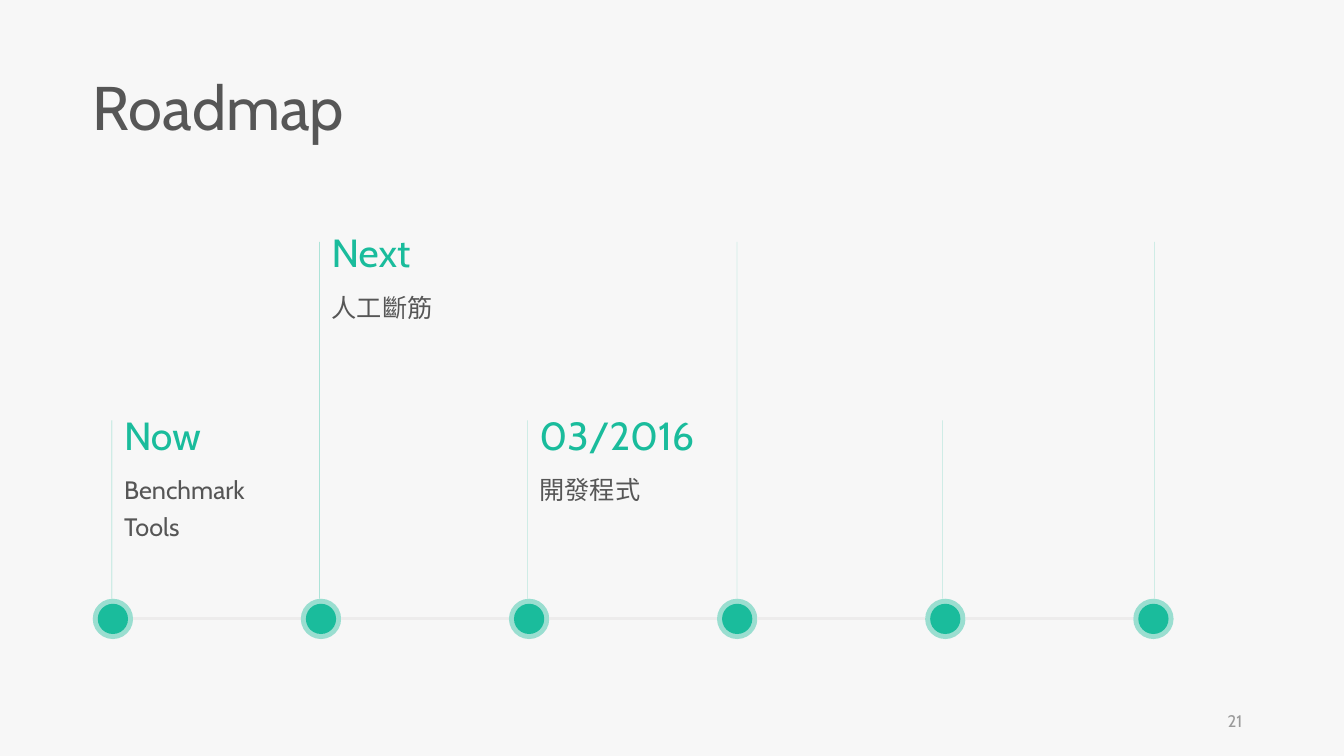
from lxml import etree
from pptx import Presentation
from pptx import util as u
from pptx.dml.color import RGBColor
from pptx.enum import shapes, text
from pptx.oxml.ns import qn

WIDTH, HEIGHT = 13.33, 7.5
COLORS = {"back": "F7F7F7", "accent": "1ABC9C", "ink": "565656",
          "rail": "EDECEC", "number": "9A9A9A"}
FONT = "Cabin"
TITLE = "Roadmap"
PAGE_NUMBER = "21"
MILESTONES = [
    (1.11, "low", "Now", "Benchmark Tools", 0.79),
    (3.17, "high", "Next", "人工斷筋", 0.43),
    (5.23, "low", "03/2016", "開發程式", 0.43),
    (7.31, "high", None, None, 0),
    (9.35, "low", None, None, 0),
    (11.45, "high", None, None, 0),
]
STEM_TOP = {"low": 4.17, "high": 2.4}
LABEL_TOP = {"low": 4.03, "high": 2.22}
LABEL_WIDTH, HEADING_HEIGHT = 1.85, 0.57
NODE_LEFT, LAST_NODE_LEFT, NODE_TOP = 0.92, 11.24, 5.94
NODE_STEP = (LAST_NODE_LEFT - NODE_LEFT) / (len(MILESTONES) - 1)
RING, DOT = 0.4, 0.3


def color(name):
    return RGBColor.from_string(COLORS[name])


def set_alpha(fill_parent, percent):
    tint = next(fill_parent.iter(qn("a:srgbClr")))
    etree.SubElement(tint, qn("a:alpha")).set("val", str(percent * 1000))


def write(box, words, size, tone, left_inset=0.12, spacing=None):
    frame = box.text_frame
    frame.word_wrap = True
    frame.auto_size = text.MSO_AUTO_SIZE.SHAPE_TO_FIT_TEXT
    frame.vertical_anchor = text.MSO_ANCHOR.TOP
    frame.margin_left, frame.margin_right = u.Inches(left_inset), u.Inches(0.1)
    frame.margin_top = frame.margin_bottom = u.Inches(0.05)
    frame.text = words
    para = frame.paragraphs[0]
    para.alignment = text.PP_ALIGN.LEFT
    if spacing:
        para.line_spacing = spacing
    span = para.runs[0]
    span.font.size = u.Pt(size)
    span.font.name = FONT
    span.font.color.rgb = color(tone)
    return para


def add_text(page, area, *style, **options):
    box = page.shapes.add_textbox(*map(u.Inches, area))
    return box, write(box, *style, **options)


def add_line(page, ends, tone, width, alpha=None):
    line = page.shapes.add_connector(
        shapes.MSO_CONNECTOR.STRAIGHT, *map(u.Inches, ends))
    line.line.color.rgb = color(tone)
    line.line.width = u.Pt(width)
    properties = line._element.spPr
    if alpha:
        set_alpha(properties, alpha)
    etree.SubElement(properties, qn("a:effectLst"))


def add_node(page, left):
    group = page.shapes.add_group_shape()
    for size, alpha in ((RING, 42), (DOT, None)):
        inset = (RING - size) / 2
        circle = group.shapes.add_shape(
            shapes.MSO_SHAPE.OVAL,
            *map(u.Inches, (left + inset, NODE_TOP + inset, size, size)))
        circle.shadow.inherit = False
        circle.fill.solid()
        circle.fill.fore_color.rgb = color("accent")
        circle.line.fill.background()
        if alpha:
            set_alpha(circle._element.spPr, alpha)


def add_milestone(page, index, stem, level, heading, detail, detail_height):
    left = NODE_LEFT + index * NODE_STEP
    middle = NODE_TOP + RING / 2
    add_node(page, left)
    if index < len(MILESTONES) - 1:
        add_line(page, (left + RING, middle, left + NODE_STEP, middle), "rail", 2.25)
    add_line(page, (stem, NODE_TOP, stem, STEM_TOP[level]), "accent", 0.25, 51)
    if heading:
        top = LABEL_TOP[level]
        add_text(page, (stem, top, LABEL_WIDTH, HEADING_HEIGHT), heading, 28, "accent")
        add_text(page, (stem, top + HEADING_HEIGHT, LABEL_WIDTH, detail_height),
                 detail, 18, "ink", spacing=1.2)


def main():
    deck = Presentation()
    deck.slide_width, deck.slide_height = u.Inches(WIDTH), u.Inches(HEIGHT)
    page = deck.slides.add_slide(deck.slide_layouts[5])
    page.background.fill.solid()
    page.background.fill.fore_color.rgb = color("back")

    title = page.shapes.title
    title.left, title.top, title.width, title.height = map(
        u.Inches, (NODE_LEFT, 0.72, 4.9, 0.77))
    write(title, TITLE, 44, "ink", left_inset=0, spacing=0.9)

    for index, milestone in enumerate(MILESTONES):
        add_milestone(page, index, *milestone)

    box, para = add_text(page, (9.42, 6.95, 3, 0.4), PAGE_NUMBER, 12, "number")
    box.text_frame.auto_size = text.MSO_AUTO_SIZE.NONE
    box.text_frame.vertical_anchor = text.MSO_ANCHOR.MIDDLE
    para.alignment = text.PP_ALIGN.RIGHT

    deck.save("out.pptx")


if __name__ == "__main__":
    main()
